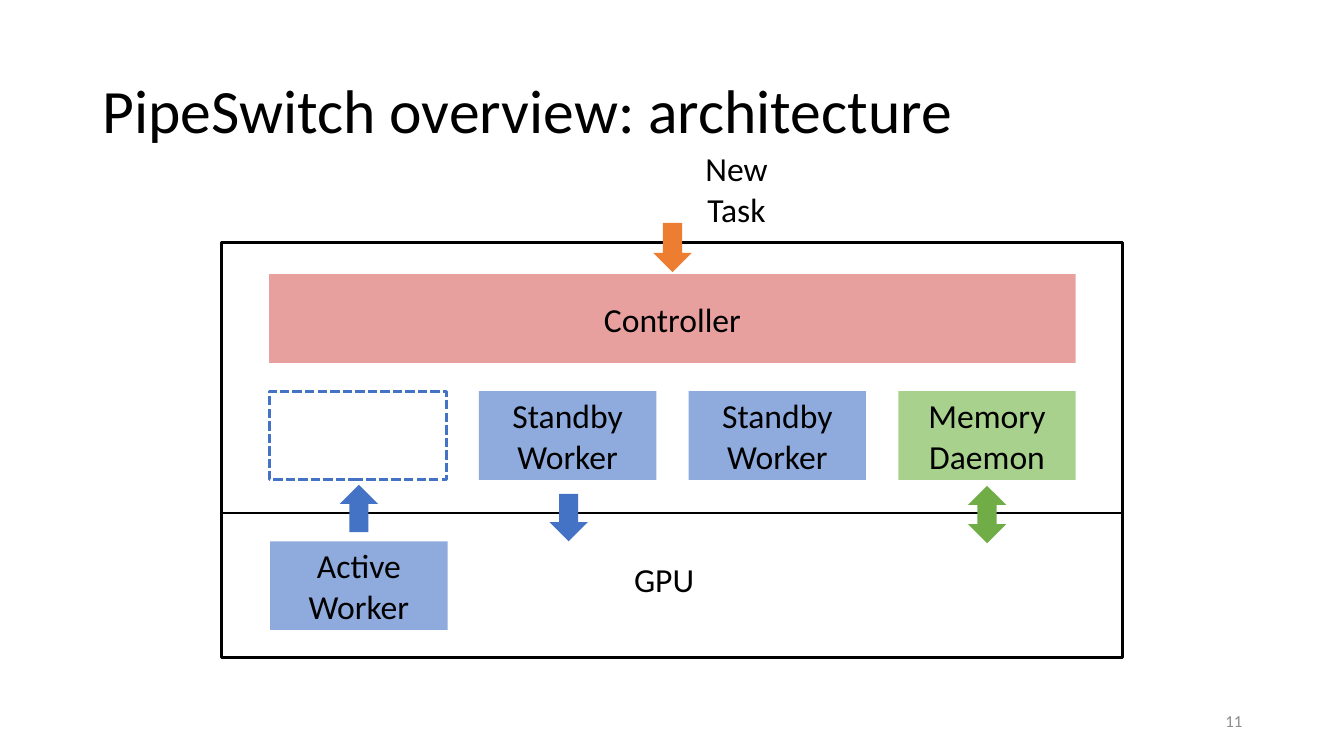
from pptx import Presentation
from pptx.dml.color import RGBColor
from pptx.enum.dml import MSO_LINE
from pptx.enum.shapes import MSO_CONNECTOR, MSO_SHAPE
from pptx.enum.text import MSO_ANCHOR, PP_ALIGN
from pptx.util import Pt
from lxml.etree import SubElement
from pptx.oxml.ns import qn

PX = 9144  # 100 px to the inch
BLACK, BLUE, LIGHT_BLUE = "000000", "4472C4", "8FAADC"
ORANGE, GREEN, LIGHT_GREEN, PINK = "ED7D31", "70AD47", "A9D18E", "E8A09F"


def rgb(value):
    return RGBColor.from_string(value)


def emu(*lengths):
    return [length * PX for length in lengths]


def write(frame, lines, size=24, color=BLACK, align=PP_ALIGN.CENTER,
          anchor=MSO_ANCHOR.MIDDLE, wrap=True, spacing=None):
    frame.word_wrap = wrap
    frame.vertical_anchor = anchor
    for index, line in enumerate(lines):
        paragraph = frame.add_paragraph() if index else frame.paragraphs[0]
        paragraph.text = line
        paragraph.alignment = align
        paragraph.line_spacing = spacing
        paragraph.font.name = "Calibri"
        paragraph.font.size = Pt(size)
        paragraph.font.color.rgb = rgb(color)


def add_label(slide, box, *lines, **style):
    write(slide.shapes.add_textbox(*emu(*box)).text_frame, lines, **style)


def add_block(slide, box, *lines, fill=None, line=None, dash=None,
              kind=MSO_SHAPE.RECTANGLE):
    block = slide.shapes.add_shape(kind, *emu(*box))
    block.shadow.inherit = False
    if fill:
        block.fill.solid()
        block.fill.fore_color.rgb = rgb(fill)
    else:
        block.fill.background()
    if line:
        block.line.color.rgb = rgb(line)
        block.line.width = Pt(2.25)
        block.line.dash_style = dash
    else:
        block.line.fill.background()
    if lines:
        write(block.text_frame, lines)


def add_arrow(slide, center, top, height, fill, kind=MSO_SHAPE.DOWN_ARROW):
    width = 38
    add_block(slide, (center - width // 2, top, width, height), fill=fill, kind=kind)


def add_host(slide, left, top, width):
    """Controller above a row of four process slots."""
    slot_width, height, row_top = 176, 88, top + 116
    pitch = (width - slot_width) // 3
    add_block(slide, (left, top, width, height), "Controller", fill=PINK)
    slots = [
        ((), {"line": BLUE, "dash": MSO_LINE.SQUARE_DOT}),
        (("Standby", "Worker"), {"fill": LIGHT_BLUE}),
        (("Standby", "Worker"), {"fill": LIGHT_BLUE}),
        (("Memory", "Daemon"), {"fill": LIGHT_GREEN}),
    ]
    for column, (lines, look) in enumerate(slots):
        add_block(slide, (left + column * pitch, row_top, slot_width, height),
                  *lines, **look)
    centers = [left + column * pitch + slot_width // 2 for column in range(4)]
    add_arrow(slide, centers[0] + 1, row_top + 93, 47, BLUE, MSO_SHAPE.UP_ARROW)
    add_arrow(slide, centers[1] + 1, row_top + 102, 47, BLUE)
    add_arrow(slide, centers[3], row_top + 94, 57, GREEN, MSO_SHAPE.UP_DOWN_ARROW)


def add_gpu(slide, left, top, width):
    border = slide.shapes.add_connector(
        MSO_CONNECTOR.STRAIGHT, *emu(left, top, left + width, top))
    border.line.color.rgb = rgb(BLACK)
    border.line.width = Pt(1.5)
    SubElement(border._element.spPr, qn("a:effectLst"))
    add_block(slide, (left + 48, top + 28, 176, 88), "Active", "Worker", fill=LIGHT_BLUE)
    add_label(slide, (left + 399, top + 41, 80, 50), "GPU", align=PP_ALIGN.LEFT,
              anchor=MSO_ANCHOR.TOP, wrap=False)


def add_architecture(slide, left, top, width, height):
    add_block(slide, (left, top, width, height), line=BLACK)
    add_gpu(slide, left, top + 268, width)
    add_host(slide, left + 47, top + 31, 800)
    add_arrow(slide, left + width // 2 + 1, top - 20, 49, ORANGE)
    add_label(slide, (left + 469, top - 99, 83, 91), "New", "Task",
              anchor=MSO_ANCHOR.TOP, wrap=False)


def main():
    deck = Presentation()
    deck.slide_width, deck.slide_height = emu(1333, 750)
    slide = deck.slides.add_slide(deck.slide_layouts[6])
    add_label(slide, (92, 40, 1150, 145), "PipeSwitch overview: architecture",
              size=44, align=PP_ALIGN.LEFT, spacing=0.9)
    add_label(slide, (942, 695, 300, 40), "11", size=12, color="8C8C8C",
              align=PP_ALIGN.RIGHT)
    add_architecture(slide, 220, 241, 893, 411)
    deck.save("out.pptx")


if __name__ == "__main__":
    main()
